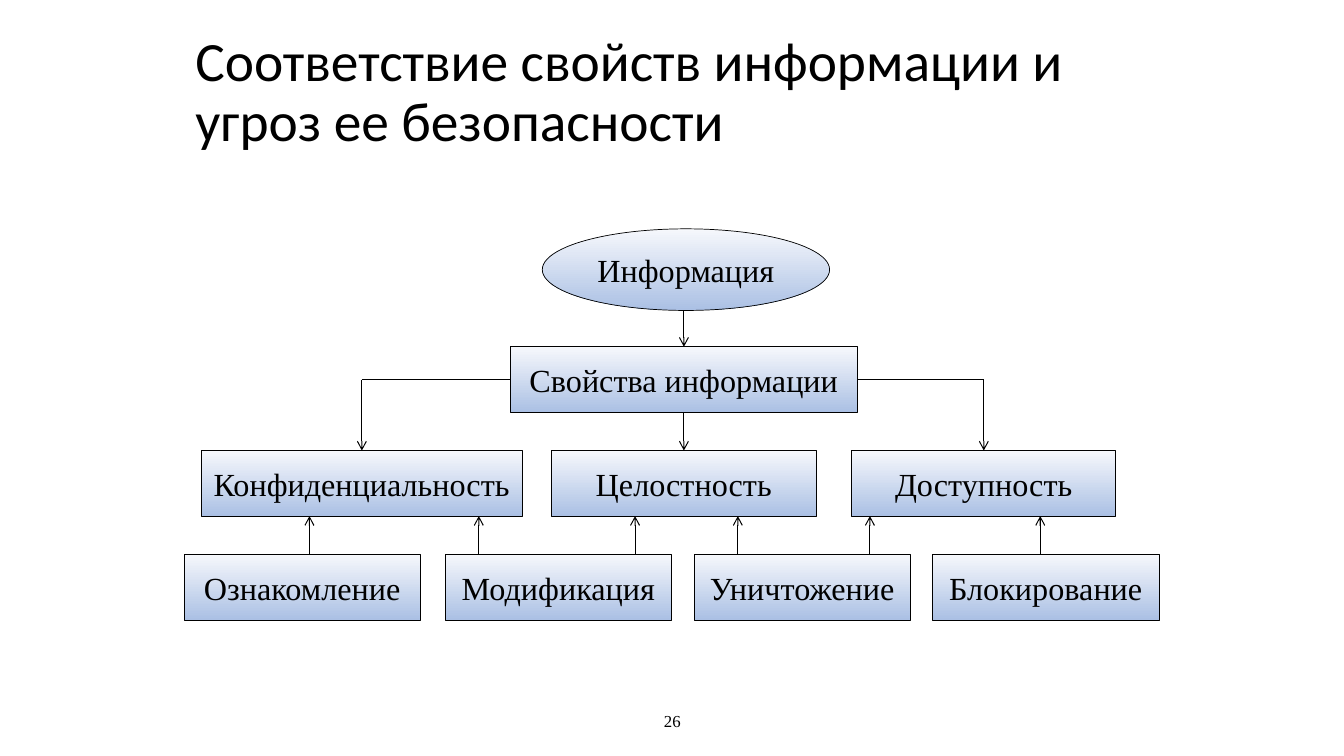
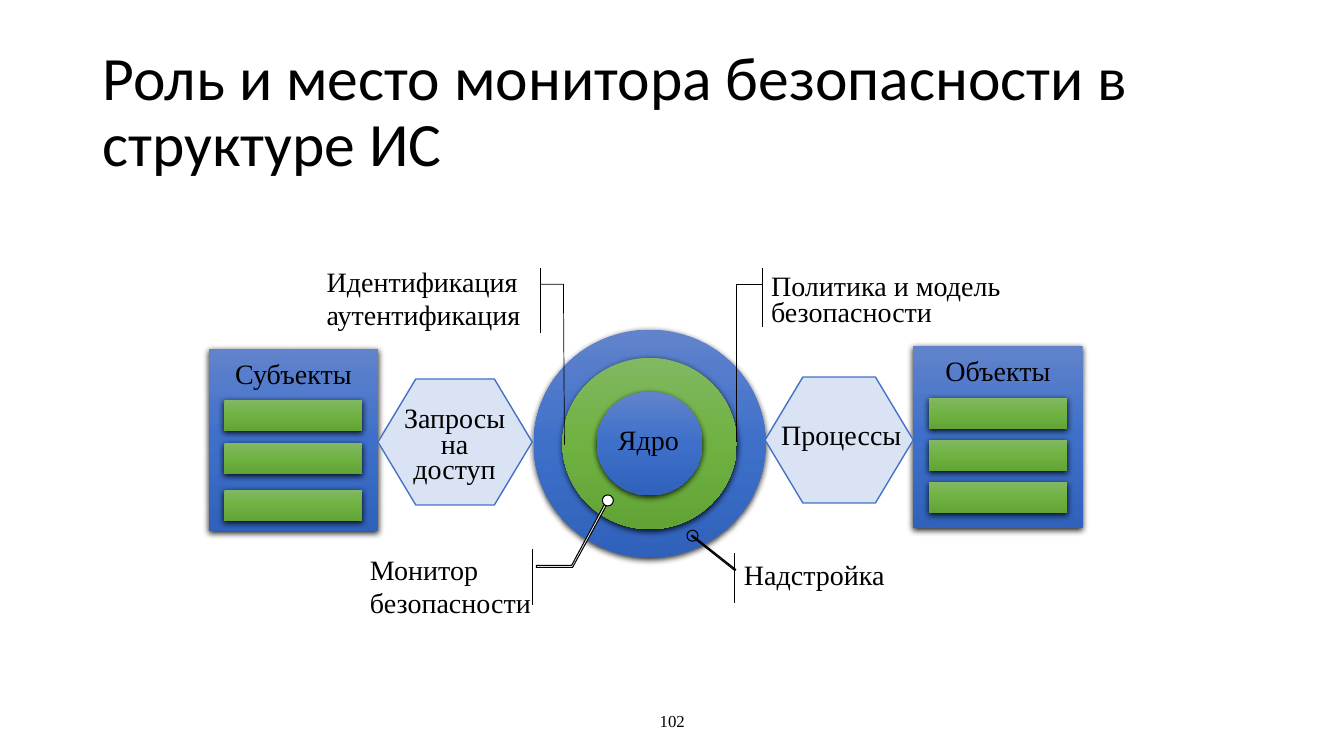
from lxml.etree import SubElement
from pptx import Presentation
from pptx.dml.color import RGBColor
from pptx.enum.shapes import MSO_CONNECTOR as Wire, MSO_SHAPE as Preset
from pptx.enum.text import MSO_ANCHOR as Anchor, PP_ALIGN as Align
from pptx.oxml.ns import qn
from pptx.util import Inches, Pt

# The grid is square; one cell is a tenth of an inch.
CELL = Inches(0.1)
COLUMNS, ROWS = 133.33, 75
TOP, LEFT, BOTTOM, RIGHT = range(4)

BLACK, WHITE = "000000", "FFFFFF"
PALE = ((0, "F6F8FC"), (100, "ABC0E4"))
BLUE = ((0, "6183CB"), (50, "3E70CA"), (100, "3062BB"))
GREEN = ((0, "81B861"), (50, "6FB242"), (100, "62A336"))


def color(code):
    return RGBColor.from_string(code)


def cells(*counts):
    """Turn grid cells into slide lengths."""
    return [round(count * CELL) for count in counts]


def write(frame, words, size=20, font="Times New Roman", align=Align.LEFT,
          anchor=Anchor.TOP, inset=0, wrap=False, spacing=None):
    """Fill a text frame, one paragraph to each line of the words."""
    frame.word_wrap = wrap
    frame.vertical_anchor = anchor
    frame.margin_left = frame.margin_right = Inches(inset)
    frame.margin_top = frame.margin_bottom = Inches(inset / 2)
    for number, line in enumerate(words.split("\n")):
        para = frame.add_paragraph() if number else frame.paragraphs[0]
        para.alignment = align
        if spacing:
            para.line_spacing = spacing
        span = para.add_run()
        span.text = line
        span.font.size, span.font.name = Pt(size), font
        span.font.color.rgb = color(BLACK)


class Sheet:
    """Holds the shared style and the slide being drawn."""

    def __init__(self):
        self.deck = Presentation()
        self.deck.slide_width, self.deck.slide_height = cells(COLUMNS, ROWS)
        self.page = None

    def start(self, title, at, size, number):
        """Open a slide with its title and page number."""
        self.page = self.deck.slides.add_slide(self.deck.slide_layouts[6])
        self.text(title, at, size=size, font="Calibri", anchor=Anchor.MIDDLE,
                  inset=0.1, wrap=True, spacing=0.9)
        self.text(str(number), (44.2, 69.5, 45, 4), size=12,
                  align=Align.CENTER, anchor=Anchor.MIDDLE)

    def text(self, words, at, **style):
        box = self.page.shapes.add_textbox(*cells(*at))
        write(box.text_frame, words, **style)

    def paint(self, shape, fill, line, width):
        """Fill is a hex string, a tuple of gradient stops or None."""
        shape.shadow.inherit = False
        if fill is None:
            shape.fill.background()
        elif isinstance(fill, str):
            shape.fill.solid()
            shape.fill.fore_color.rgb = color(fill)
        else:
            shape.fill.gradient()
            shape.fill.gradient_angle = 270
            stops = shape._element.spPr.find(".//" + qn("a:gsLst"))
            stops.clear()
            for share, code in fill:
                stop = SubElement(stops, qn("a:gs"), pos=str(share * 1000))
                SubElement(stop, qn("a:srgbClr"), val=code)
        if line:
            shape.line.color.rgb = color(line)
            shape.line.width = Pt(width)
        else:
            shape.line.fill.background()

    def shape(self, preset, at, fill, line=None, width=0.5):
        shape = self.page.shapes.add_shape(preset, *cells(*at))
        self.paint(shape, fill, line, width)
        return shape

    def raised(self, preset, at, fill):
        """A shape without outline that casts a shadow downwards."""
        shape = self.shape(preset, at, fill)
        effects = shape._element.spPr.find(qn("a:effectLst"))
        shadow = SubElement(effects, qn("a:outerShdw"), blurRad=str(Pt(4.5)),
                            dist=str(Pt(1.5)), dir="5400000", rotWithShape="0")
        tint = SubElement(shadow, qn("a:srgbClr"), val=BLACK)
        SubElement(tint, qn("a:alpha"), val="86000")

    def node(self, words, at, preset=Preset.RECTANGLE):
        shape = self.shape(preset, at, PALE, BLACK)
        write(shape.text_frame, words, size=23, align=Align.CENTER,
              anchor=Anchor.MIDDLE)
        return shape

    def line(self, start, end, width=0.5, arrow=False, begin=None, finish=None):
        """Begin and finish are pairs of a box and a side to join."""
        line = self.page.shapes.add_connector(
            Wire.STRAIGHT, *cells(*start, *end))
        if begin:
            line.begin_connect(*begin)
        if finish:
            line.end_connect(*finish)
        line.line.color.rgb = color(BLACK)
        line.line.width = Pt(width)
        props = line._element.spPr
        if arrow:
            SubElement(props.find(qn("a:ln")), qn("a:tailEnd"), type="arrow")
        SubElement(props, qn("a:effectLst"))

    def outline(self, points, fill=None, closed=False, width=0.5):
        first, *rest = [cells(*point) for point in points]
        builder = self.page.shapes.build_freeform(*first)
        builder.add_line_segments(rest, close=closed)
        self.paint(builder.convert_to_shape(), fill, BLACK, width)

    def pointer(self, points, center, size, fill=None):
        """A thin outlined band that ends in a ring."""
        self.outline(points, fill, closed=True, width=0.75)
        self.shape(Preset.OVAL, around(center, size, size), fill, BLACK, 0.75)

    def panel(self, caption, left, top, bars):
        """A raised panel; bars are offsets from its top edge."""
        self.raised(Preset.RECTANGLE, (left, top, 16.8, 18.1), BLUE)
        self.text(caption, (left, top + 0.75, 16.8, 3.4), align=Align.CENTER)
        for offset in bars:
            self.raised(Preset.RECTANGLE,
                        (left + 1.55, top + offset, 13.7, 3.1), GREEN)

    def hexagon(self, at):
        shape = self.shape(Preset.HEXAGON, at, "DAE3F3", "4472C4", 1)
        shape.adjustments[0] = 0.3


def around(center, width, height):
    return center[0] - width / 2, center[1] - height / 2, width, height


def draw_threats(sheet):
    sheet.start("Соответствие свойств информации и угроз ее безопасности",
                (18.4, 3, 96.7, 12.5), 39.6, 26)
    height, property_top, threat_top = 6.5, 44.7, 55
    axis, branch = 67.85, 37.65

    sheet.node("Информация", (53.8, 22.7, 28.5, 8.1), Preset.OVAL)
    root = sheet.node("Свойства информации", (50.6, 34.4, 34.5, height))
    secrecy, integrity, access = [
        sheet.node(words, (left, property_top, width, height))
        for words, left, width in (("Конфиденциальность", 20, 31.8),
                                   ("Целостность", 54.7, 26.3),
                                   ("Доступность", 84.5, 26.2))]
    for words, left, width in (("Ознакомление", 18.3, 23.4),
                               ("Модификация", 44.2, 22.4),
                               ("Уничтожение", 68.9, 21.4),
                               ("Блокирование", 92.5, 22.5)):
        sheet.node(words, (left, threat_top, width, height))

    sheet.line((axis, 30.8), (axis, 34.4), 0.75, True, finish=(root, TOP))
    sheet.line((axis, 40.9), (axis, property_top), 0.75, True,
               begin=(root, BOTTOM), finish=(integrity, TOP))
    for side, edge, target, middle in ((LEFT, 50.6, secrecy, 35.9),
                                       (RIGHT, 85.1, access, 97.6)):
        sheet.line((edge, branch), (middle, branch), begin=(root, side))
        sheet.line((middle, branch), (middle, property_top), 0.75, True,
                   finish=(target, TOP))
    for column in (30.7, 47.5, 63, 73.2, 86.3, 103.2):
        sheet.line((column, threat_top), (column, property_top + height),
                   0.75, True)


def draw_monitor(sheet):
    sheet.start("Роль и место монитора безопасности в структуре ИС",
                (9.2, 4, 115, 14.5), 44, 102)
    center, tight = (64.45, 44), Pt(18.4)

    for width, height, fill in ((23, 22.6, BLUE), (17.3, 17, GREEN),
                                (10.5, 10.3, BLUE)):
        sheet.raised(Preset.OVAL, around(center, width, height), fill)
    sheet.text("Ядро", (61.3, 41.9, 6.1, 3.4))

    sheet.panel("Субъекты", 20.7, 34.6, (5.1, 9.3, 14))
    sheet.panel("Объекты", 90.6, 34.3, (5.2, 9.35, 13.5))
    sheet.hexagon((37.5, 37.6, 15.3, 12.5))
    sheet.text("Запросы\nна\nдоступ", (37.5, 40.5, 15.2, 7.7),
               align=Align.CENTER, spacing=tight)
    sheet.hexagon((75.9, 37.4, 14.7, 12.5))
    sheet.text("Процессы", (77.5, 41.4, 12, 3.4))

    sheet.pointer(((60.4, 49.7), (56.8, 56.3), (53.2, 56.3), (53.2, 56.1),
                   (56.7, 56.1), (60.2, 49.6)), (60.3, 49.65), 1.1, WHITE)
    sheet.pointer(((68.7, 53.1), (73, 56.5), (72.9, 56.6), (68.6, 53.2)),
                  (68.7, 53.15), 1.1)
    sheet.outline(((56, 44.1), (55.9, 28.2), (53.6, 28.2)))
    sheet.outline(((73.1, 43.9), (73.1, 28.2), (75.6, 28.2)))
    for column, top, bottom in ((52.8, 54.5, 60), (72.9, 54.9, 59.8),
                                (53.6, 26.6, 33), (75.6, 26.6, 32.4)):
        sheet.line((column, top), (column, bottom))

    sheet.text("Монитор\nбезопасности", (36.7, 54.8, 16.1, 6.7))
    sheet.text("Надстройка", (73.8, 55.3, 14.1, 3.4))
    sheet.text("Идентификация\nаутентификация", (32.4, 26.2, 21.9, 6.7))
    sheet.text("Политика и модель\nбезопасности", (76.5, 27.4, 23.7, 5.2),
               spacing=tight)


def main():
    sheet = Sheet()
    draw_threats(sheet)
    draw_monitor(sheet)
    sheet.deck.save("out.pptx")


if __name__ == "__main__":
    main()
